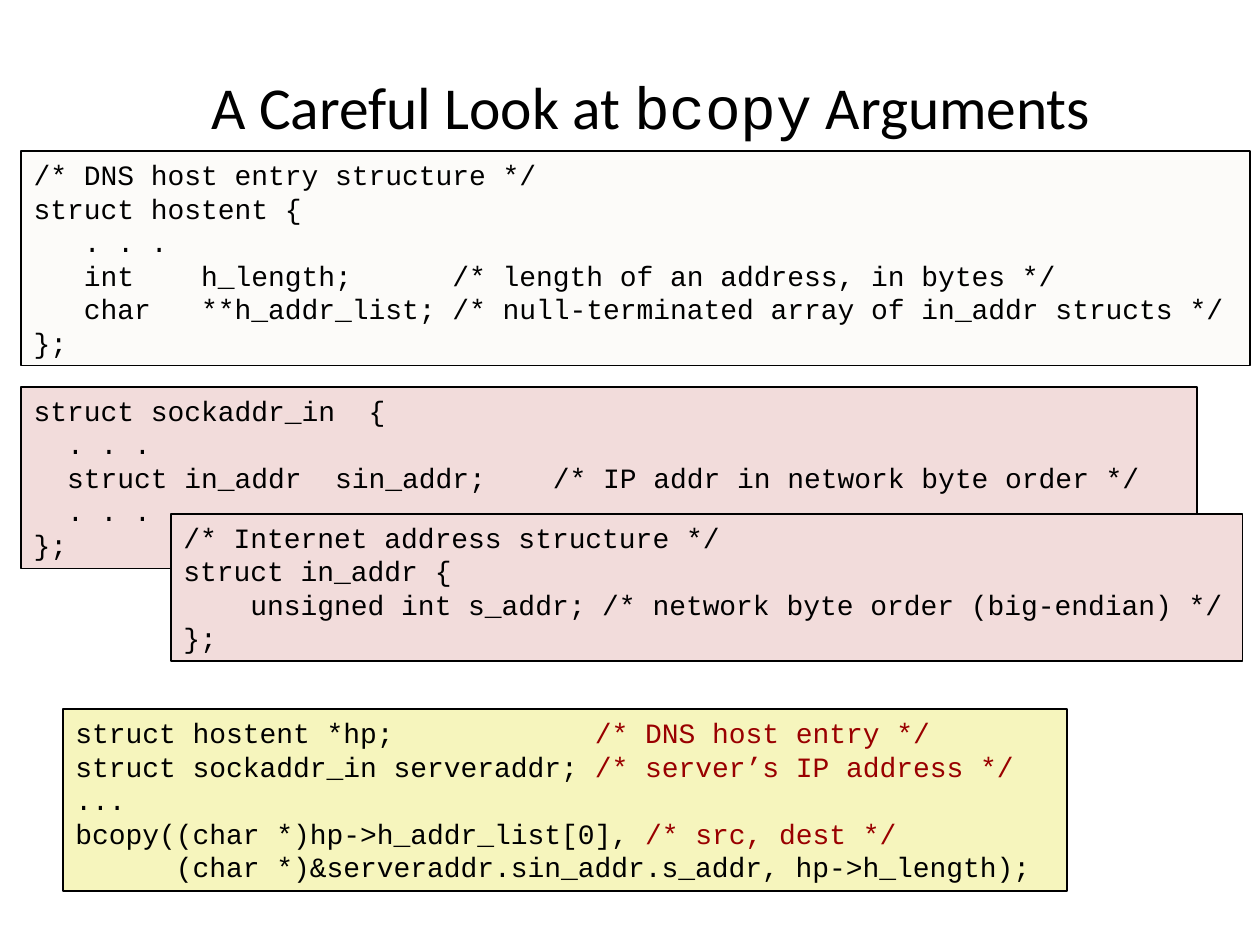
from pptx import Presentation
from pptx.dml.color import RGBColor
from pptx.enum.shapes import MSO_SHAPE
from pptx.enum.text import MSO_ANCHOR, MSO_AUTO_SIZE, PP_ALIGN
from pptx.util import Cm, Pt

RECT = MSO_SHAPE.RECTANGLE
TOP, MIDDLE = MSO_ANCHOR.TOP, MSO_ANCHOR.MIDDLE
LEFT, CENTER = PP_ALIGN.LEFT, PP_ALIGN.CENTER
GROW = MSO_AUTO_SIZE.SHAPE_TO_FIT_TEXT

SANS, MONO = "Calibri", "Courier New"
COLORS = {
    "ink": "000000", "note": "990000",
    "white": "FCFBF9", "pink": "F2DCDB", "yellow": "F6F5BD",
}

TITLE = [("A Careful Look at ", SANS), ("bcopy", MONO), (" Arguments", SANS)]

HOST = """/* DNS host entry structure */
struct hostent {
   . . .
   int    h_length;      /* length of an address, in bytes */
   char   **h_addr_list; /* null-terminated array of in_addr structs */
};"""

CALL = """struct hostent *hp;            /* DNS host entry */
struct sockaddr_in serveraddr; /* server’s IP address */
...
bcopy((char *)hp->h_addr_list[0], /* src, dest */
      (char *)&serveraddr.sin_addr.s_addr, hp->h_length);"""

SOCKET = """struct sockaddr_in  {
  . . .
  struct in_addr  sin_addr;    /* IP addr in network byte order */
  . . .
};"""

ADDRESS = """/* Internet address structure */
struct in_addr {
    unsigned int s_addr; /* network byte order (big-endian) */
};"""

BOXES = [
    (HOST, (0.43, 3.05, 24.77, 4.32), "white", "ink"),
    (CALL, (1.27, 14.3, 20.24, 3.66), "yellow", "note"),
    (SOCKET, (0.43, 7.8, 23.7, 3.66), "pink", "ink"),
    (ADDRESS, (3.45, 10.36, 21.6, 2.97), "pink", "ink"),
]


def color(name):
    return RGBColor.from_string(COLORS[name])


def add_run(para, text, font, size, ink):
    run = para.add_run()
    run.text = text
    run.font.name = font
    run.font.size = Pt(size)
    run.font.color.rgb = color(ink)


def add_title(slide):
    box = slide.shapes.add_textbox(Cm(0.84), Cm(1.07), Cm(24.56), Cm(2.11))
    frame = box.text_frame
    frame.word_wrap = True
    frame.vertical_anchor = MIDDLE
    para = frame.paragraphs[0]
    para.alignment = CENTER
    for text, font in TITLE:
        add_run(para, text, font, 34, "ink")


def add_code(slide, code, place, fill, note):
    box = slide.shapes.add_shape(RECT, *map(Cm, place))
    box.shadow.inherit = False
    box.fill.solid()
    box.fill.fore_color.rgb = color(fill)
    box.line.color.rgb = color("ink")
    box.line.width = Pt(1)
    frame = box.text_frame
    frame.word_wrap = True
    frame.auto_size = GROW
    frame.vertical_anchor = TOP
    for i, line in enumerate(code.split("\n")):
        para = frame.add_paragraph() if i else frame.paragraphs[0]
        para.alignment = LEFT
        if note == "ink":
            add_run(para, line, MONO, 16, "ink")
            continue
        head, mark, tail = line.partition("/*")
        add_run(para, head, MONO, 16, "ink")
        if mark:
            add_run(para, mark + tail, MONO, 16, note)


def main():
    deck = Presentation()
    deck.slide_width, deck.slide_height = Cm(25.4), Cm(19.05)
    slide = deck.slides.add_slide(deck.slide_layouts[6])
    add_title(slide)
    for box in BOXES:
        add_code(slide, *box)
    deck.save("out.pptx")


if __name__ == "__main__":
    main()
